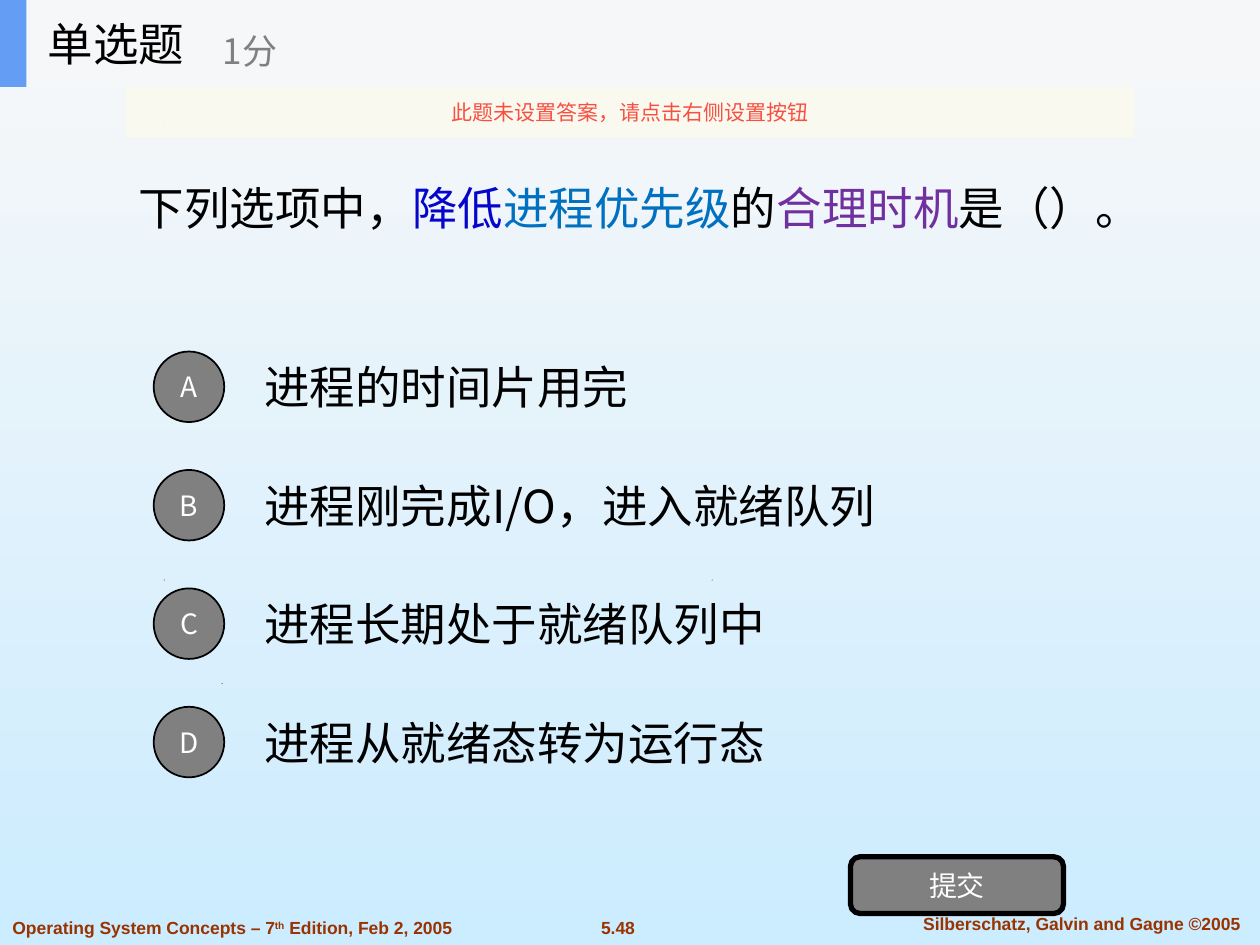
"""Build a single-choice quiz slide about process priorities."""
from dataclasses import dataclass
from typing import Optional

from lxml import etree
from pptx import Presentation
from pptx import util as u
from pptx.dml.color import RGBColor
from pptx.enum import shapes, text
from pptx.oxml.ns import qn

CJK, LATIN = "Noto Sans CJK SC", "Arial"
C = {"ink": "000000", "grey": "808080", "white": "FFFFFF", "footer": "993300",
     "navy": "0505CB", "blue": "0070C0", "purple": "7030A0", "bar": "F6F7F8",
     "accent": "639EF4", "cream": "FBFAEF", "warning": "F84F41",
     "sky_top": "F8F8F8", "sky_bottom": "CCECFF"}
LEFT, CENTER = text.PP_ALIGN.LEFT, text.PP_ALIGN.CENTER
OVAL, RECT = shapes.MSO_SHAPE.OVAL, shapes.MSO_SHAPE.RECTANGLE
ROUNDED = shapes.MSO_SHAPE.ROUNDED_RECTANGLE


@dataclass
class Box:
    left: float
    top: float
    width: float
    height: float

    def lengths(self) -> list:
        return [u.Inches(v) for v in (self.left, self.top, self.width, self.height)]


@dataclass
class Style:
    size: float
    color: str = "ink"
    align: int = LEFT
    font: str = CJK
    bold: bool = False


@dataclass
class Run:
    words: str
    color: Optional[str] = None
    raised: bool = False


@dataclass
class Choice:
    letter: str
    answer: str


QUESTION = [Run("下列选项中，"), Run("降低", "navy"), Run("进程优先级", "blue"),
            Run("的"), Run("合理时机", "purple"), Run("是（）。")]
CHOICES = [Choice("A", "进程的时间片用完"), Choice("B", "进程刚完成I/O，进入就绪队列"),
           Choice("C", "进程长期处于就绪队列中"), Choice("D", "进程从就绪态转为运行态")]
EDITION = [Run("Operating System Concepts – 7"), Run("th", raised=True),
           Run(" Edition, Feb 2, 2005")]
SPECKS = [(1.76, 5.42), (1.3, 4.6), (5.65, 4.6), (1.29, 0.97)]
FIRST_TOP, PITCH = 2.72, 0.94


def rgb(name: str) -> RGBColor:
    return RGBColor.from_string(C[name])


def write(sp, runs: list, style: Style, middle: bool = True) -> None:
    tf = sp.text_frame
    tf.word_wrap = True
    tf.auto_size = text.MSO_AUTO_SIZE.NONE
    tf.vertical_anchor = text.MSO_ANCHOR.MIDDLE if middle else text.MSO_ANCHOR.TOP
    p = tf.paragraphs[0]
    p.alignment = style.align
    p.font.size, p.font.bold = u.Pt(style.size), style.bold
    p.font.color.rgb = rgb(style.color)
    p.font.name = style.font
    latin = p._p.pPr.find(qn("a:defRPr")).find(qn("a:latin"))
    latin.addnext(latin.makeelement(qn("a:ea"), {"typeface": style.font}))
    for part in runs:
        r = p.add_run()
        r.text = part.words
        if part.color:
            r.font.color.rgb = rgb(part.color)
        if part.raised:
            r._r.get_or_add_rPr().set("baseline", "30000")


def add_label(s, box: Box, runs: list, style: Style, middle: bool = True) -> None:
    write(s.shapes.add_textbox(*box.lengths()), runs, style, middle)


def paint(sp, fill: str, line: float = 0) -> None:
    sp.shadow.inherit = False
    sp.fill.solid()
    sp.fill.fore_color.rgb = rgb(fill)
    if line:
        sp.line.color.rgb, sp.line.width = rgb("ink"), u.Pt(line)
    else:
        sp.line.fill.background()


def add_block(s, kind: int, box: Box, fill: str, line: float = 0):
    sp = s.shapes.add_shape(kind, *box.lengths())
    paint(sp, fill, line)
    return sp


def add_speck(s, left: float, top: float) -> None:
    x, y, d = u.Inches(left), u.Inches(top), u.Inches(0.01)
    builder = s.shapes.build_freeform(x, y + d)
    builder.add_line_segments([(x + d, y), (x, y + d // 2)], close=True)
    paint(builder.convert_to_shape(), "ink")


def add_background(s) -> None:
    fill = s.background.fill
    fill.gradient()
    fill.gradient_angle = 270
    for stop, name, place in zip(fill.gradient_stops, ("sky_top", "sky_bottom"), (0, 1)):
        stop.color.rgb, stop.position = rgb(name), place


def add_footer(s) -> None:
    centered = Style(10, "footer", CENTER, LATIN, True)
    add_label(s, Box(4.64, 7.23, 0.53, 0.27), [Run("5.48")], centered, False)
    add_label(s, Box(7.1, 7.2, 2.97, 0.27),
              [Run("Silberschatz, Galvin and Gagne ©2005")], centered, False)
    add_label(s, Box(0, 7.23, 4.11, 0.27), EDITION,
              Style(10, "footer", LEFT, LATIN, True), False)


def add_question(s) -> None:
    title = s.shapes.title
    title.left, title.top, title.width, title.height = Box(1, 0.91, 8.3, 1.47).lengths()
    write(title, QUESTION, Style(26))


def add_choices(s) -> None:
    for i, choice in enumerate(CHOICES):
        top = FIRST_TOP + i * PITCH
        add_label(s, Box(2, top, 7, 0.7), [Run(choice.answer)], Style(26))
        badge = add_block(s, OVAL, Box(1.22, top + 0.07, 0.56, 0.56), "grey", 1)
        write(badge, [Run(choice.letter)], Style(16, "white", CENTER))


def add_header(s) -> None:
    add_block(s, RECT, Box(0, 0, 10, 0.69), "bar")
    add_block(s, RECT, Box(0, 0, 0.21, 0.69), "accent")
    add_label(s, Box(0.28, 0, 2.08, 0.69), [Run("单选题")], Style(26))
    add_label(s, Box(1.67, 0.12, 2.5, 0.56), [Run("1分")], Style(20, "grey"))


def add_notice(s) -> None:
    sp = add_block(s, RECT, Box(1, 0.69, 8, 0.4), "cream")
    color = sp._element.spPr.find(qn("a:solidFill"))[0]
    etree.SubElement(color, qn("a:alpha"), val="90000")
    write(sp, [Run("此题未设置答案，请点击右侧设置按钮")], Style(12, "warning", CENTER))


def main() -> None:
    prs = Presentation()
    prs.slide_width, prs.slide_height = u.Inches(10), u.Inches(7.5)
    s = prs.slides.add_slide(prs.slide_layouts[5])
    add_background(s)
    for left, top in SPECKS:
        add_speck(s, left, top)
    add_footer(s)
    add_question(s)
    add_choices(s)
    submit = add_block(s, ROUNDED, Box(6.75, 6.8, 1.69, 0.45), "grey", 3)
    write(submit, [Run("提交")], Style(16, "white", CENTER))
    add_header(s)
    add_notice(s)
    prs.save("out.pptx")


if __name__ == "__main__":
    main()
